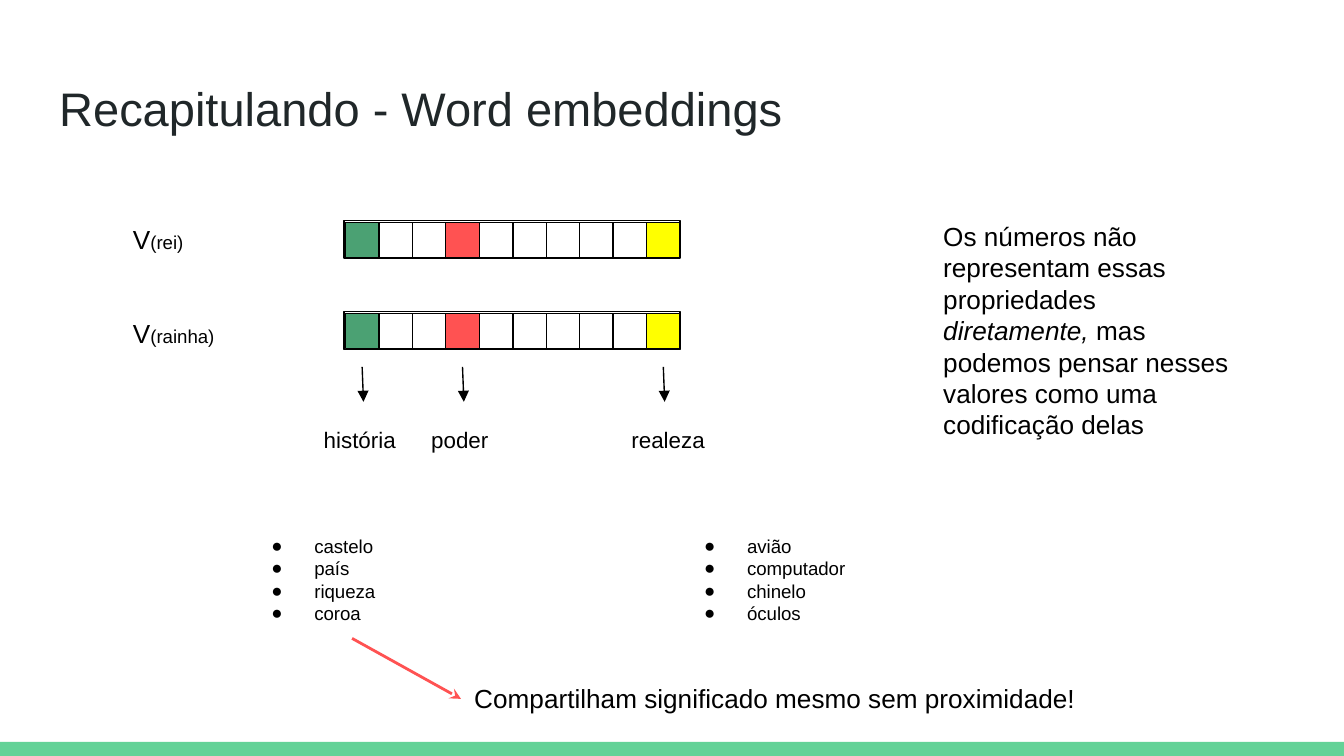
from lxml import etree
from pptx import Presentation
from pptx.dml.color import RGBColor
from pptx.enum import shapes, text
from pptx.oxml.ns import qn
from pptx.util import Inches, Pt

BLACK = RGBColor(0, 0, 0)
INK = RGBColor(0x20, 0x27, 0x29)
MINT = RGBColor(0x63, 0xD2, 0x97)
GREEN = RGBColor(0x4B, 0xA1, 0x73)
RED = RGBColor(0xFF, 0x52, 0x52)
YELLOW = RGBColor(0xFF, 0xFF, 0x00)

TITLE = "Recapitulando - Word embeddings"
WORDS = ["(rei)", "(rainha)"]
ROWS = [1.64, 2.32]
TRAITS = [
    ("história", 0, GREEN, 2.31, 0.78),
    ("poder", 3, RED, 3.11, 0.78),
    ("realeza", 9, YELLOW, 4.6, 0.81),
]
NOTE = [
    ("Os números não representam essas propriedades ", False),
    ("diretamente, ", True),
    ("mas podemos pensar nesses valores como uma codificação delas", False),
]
LISTS = [
    (1.74, ["castelo", "país", "riqueza", "coroa"]),
    (4.96, ["avião", "computador", "chinelo", "óculos"]),
]
CLAIM = "Compartilham significado mesmo sem proximidade!"
CELLS, LEFT, STEP = 10, 2.57, 0.249

deck = Presentation()
deck.slide_width, deck.slide_height = Inches(10), Inches(5.625)
slide = deck.slides.add_slide(deck.slide_layouts[5])


def add_run(para, words, size, color=BLACK, slant=False):
    run = para.add_run()
    run.text = words
    font = run.font
    font.name, font.size, font.italic = "Arial", Pt(size), slant
    font.color.rgb = color


def set_frame(frame):
    frame.word_wrap = True
    frame.auto_size = text.MSO_AUTO_SIZE.NONE
    frame.vertical_anchor = text.MSO_ANCHOR.TOP
    frame.margin_left = frame.margin_right = Inches(0.1)
    frame.margin_top = frame.margin_bottom = Inches(0.1)
    return frame


def add_text(*box):
    return set_frame(slide.shapes.add_textbox(*map(Inches, box)).text_frame)


def add_box(box, fill=None, line=None):
    rect = slide.shapes.add_shape(shapes.MSO_SHAPE.RECTANGLE, *map(Inches, box))
    rect.shadow.inherit = False
    if fill is None:
        rect.fill.background()
    else:
        rect.fill.solid()
        rect.fill.fore_color.rgb = fill
    if line is None:
        rect.line.fill.background()
    else:
        rect.line.color.rgb = line
        rect.line.width = Pt(0.75)


def add_arrow(ends, color, width, head):
    arrow = slide.shapes.add_connector(
        shapes.MSO_CONNECTOR.STRAIGHT, *map(Inches, ends))
    arrow.line.color.rgb = color
    arrow.line.width = Pt(width)
    tail = etree.SubElement(arrow.line._get_or_add_ln(), qn("a:tailEnd"))
    tail.set("type", head)
    etree.SubElement(arrow._element.spPr, qn("a:effectLst"))


def add_bullet(para):
    props = para._p.get_or_add_pPr()
    props.set("marL", str(Inches(0.5)))
    props.set("indent", str(Inches(-0.32)))
    tint = etree.SubElement(props, qn("a:buClr"))
    etree.SubElement(tint, qn("a:srgbClr")).set("val", str(BLACK))
    etree.SubElement(props, qn("a:buFont")).set("typeface", "Arial")
    etree.SubElement(props, qn("a:buChar")).set("char", "●")


add_box((0, 5.52, 10, 0.11), MINT)

title = slide.shapes.title
title.left, title.top = Inches(0.34), Inches(0.49)
title.width, title.height = Inches(9.32), Inches(0.63)
para = set_frame(title.text_frame).paragraphs[0]
para.alignment = text.PP_ALIGN.LEFT
add_run(para, TITLE, 25.2, INK)

frame = add_text(0.89, 1.56, 1.35, 1.14)
for i, word in enumerate(WORDS):
    para = frame.add_paragraph() if i else frame.paragraphs[0]
    para.space_before = Pt(34 * i)
    add_run(para, "V", 14)
    add_run(para, word, 10)

fills = {cell: color for _, cell, color, _, _ in TRAITS}
for top in ROWS:
    add_box((2.56, top, 2.5, 0.28), line=BLACK)
    for i in range(CELLS):
        add_box((LEFT + i * STEP, top + 0.015, 0.25, 0.26), fills.get(i), BLACK)

for name, cell, _, left, width in TRAITS:
    mid = LEFT + (cell + 0.5) * STEP
    add_arrow((mid, 2.73, mid + 0.01, 2.99), BLACK, 0.75, "triangle")
    add_run(add_text(left, 3.07, width, 0.4).paragraphs[0], name, 12)

para = add_text(6.92, 1.54, 2.44, 1.85).paragraphs[0]
for words, slant in NOTE:
    add_run(para, words, 14, slant=slant)

for left, items in LISTS:
    frame = add_text(left, 3.88, 1.75, 0.88)
    for i, item in enumerate(items):
        para = frame.add_paragraph() if i else frame.paragraphs[0]
        add_bullet(para)
        add_run(para, item, 10)

add_run(add_text(3.43, 4.98, 5.09, 0.44).paragraphs[0], CLAIM, 14)
add_arrow((2.62, 4.75, 3.43, 5.2), RED, 1.5, "stealth")

deck.save("out.pptx")
